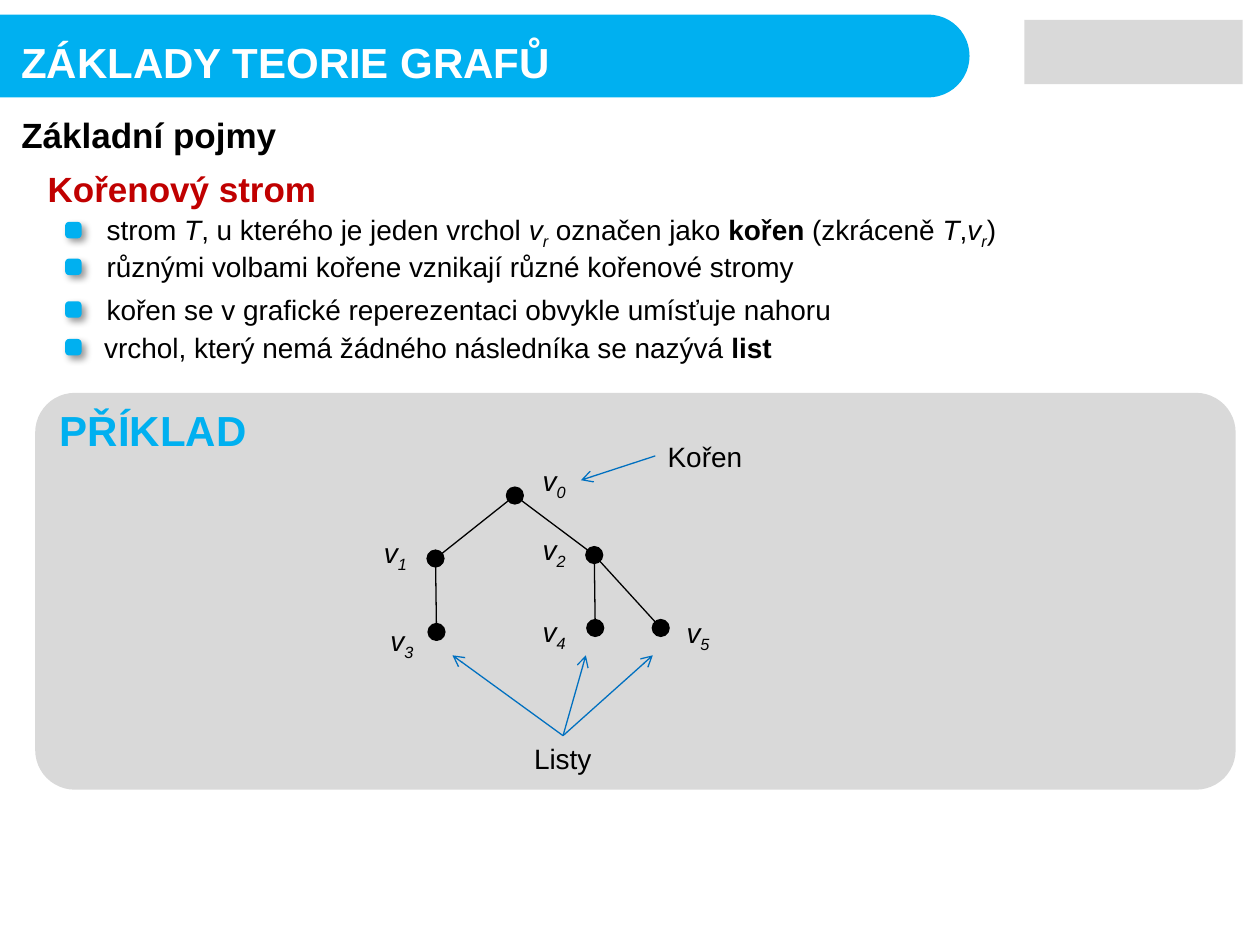
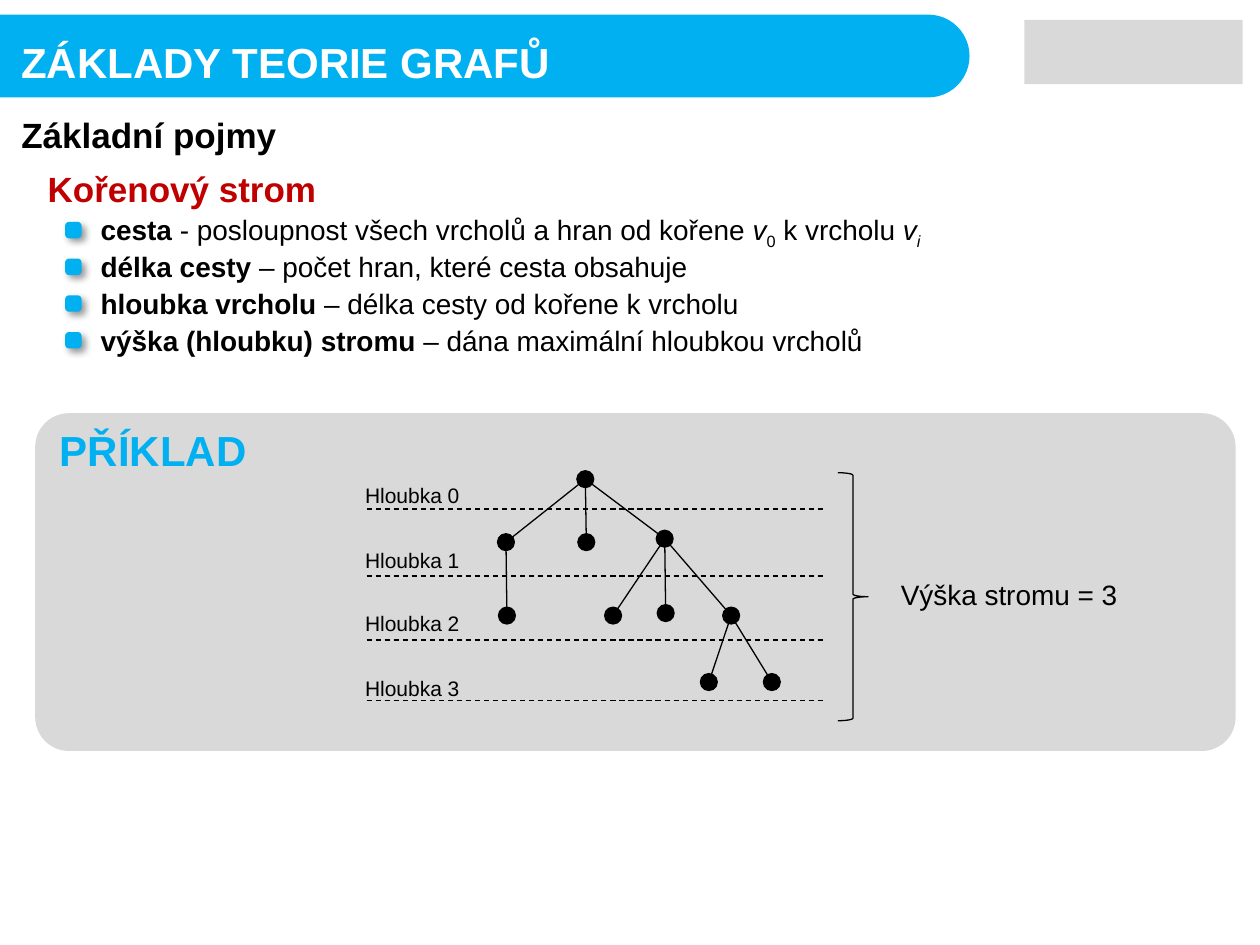
from math import hypot
from lxml import etree
from pptx import Presentation
from pptx import util as u
from pptx.dml import color
from pptx.enum import dml, shapes, text
from pptx.oxml import ns

FONT = "Arial"
BLACK, WHITE, CYAN = "000000", "FFFFFF", "00B0F0"
RED, GRAY, BLUE = "C00000", "D9D9D9", "0070C0"
DOT = 0.34
FORM = shapes.MSO_SHAPE


def paint(part, tint):
    if hasattr(part, "solid"):
        part.solid()
        part.fore_color.rgb = color.RGBColor.from_string(tint)
    else:
        part.rgb = color.RGBColor.from_string(tint)


def shape(slide, kind, box, fill=None, line=None, width=0.75, adj=None):
    item = slide.shapes.add_shape(kind, *map(u.Cm, box))
    item.shadow.inherit = False
    if adj is not None:
        item.adjustments[0] = adj
    if fill:
        paint(item.fill, fill)
    else:
        item.fill.background()
    if line:
        paint(item.line.fill, line)
        item.line.width = u.Pt(width)
    else:
        item.line.fill.background()
    return item


def shade(item):
    old = item._element.spPr.find(ns.qn("a:effectLst"))
    cast = etree.SubElement(old, ns.qn("a:outerShdw"), blurRad=str(u.Pt(4)),
                            dist=str(u.Pt(3)), dir="2700000", algn="tl", rotWithShape="0")
    tone = etree.SubElement(cast, ns.qn("a:srgbClr"), val=BLACK)
    etree.SubElement(tone, ns.qn("a:alpha"), val="40000")


def link(slide, start, end, tint=BLACK, arrow=False, dash=False):
    ends = map(u.Cm, (*start, *end))
    item = slide.shapes.add_connector(shapes.MSO_CONNECTOR.STRAIGHT, *ends)
    paint(item.line.fill, tint)
    item.line.width = u.Pt(0.75)
    if dash:
        item.line.dash_style = dml.MSO_LINE.DASH
    if arrow:
        etree.SubElement(item.line._get_or_add_ln(), ns.qn("a:tailEnd"), type="arrow")
    etree.SubElement(item._element.spPr, ns.qn("a:effectLst"))


def write(slide, box, runs, size=16, tint=BLACK, wrap=True, mid=False, center=False):
    frame = slide.shapes.add_textbox(*map(u.Cm, box)).text_frame
    frame.word_wrap = wrap
    frame.auto_size = text.MSO_AUTO_SIZE.SHAPE_TO_FIT_TEXT
    if mid:
        frame.vertical_anchor = text.MSO_ANCHOR.MIDDLE
    para = frame.paragraphs[0]
    if center:
        para.alignment = text.PP_ALIGN.CENTER
    for words, style in runs:
        run = para.add_run()
        run.text = words
        run.font.name = FONT
        run.font.size = u.Pt(size)
        run.font.bold = "b" in style
        run.font.italic = "i" in style
        paint(run.font.color, tint)
        if "s" in style:
            run.font._element.set("baseline", "-25000")


def header(slide):
    shape(slide, FORM.RECTANGLE, (20.65, 0.4, 4.4, 1.3), GRAY)
    shape(slide, FORM.ROUNDED_RECTANGLE, (-0.89, 0.33, 20.4, 1.6), CYAN, CYAN, 2, 0.5)
    write(slide, (0.18, 0.61, 11.28, 1.27), [("ZÁKLADY TEORIE GRAFŮ", "b")], 24, WHITE, False)
    write(slide, (0.18, 2.16, 14.91, 1.12), [("Základní pojmy", "b")], 20, mid=True)
    write(slide, (0.71, 3.25, 5.97, 1.12), [("Kořenový strom", "b")], 20, RED, False, True)


def points(slide, box, rows):
    left, top, width = box
    for down, indent, runs in rows:
        mark = shape(slide, FORM.ROUNDED_RECTANGLE,
                     (left, top + down + 0.34, 0.26, 0.26), CYAN, CYAN, 2)
        shade(mark)
        write(slide, (left + indent, top + down, width, 0.94), runs)


def panel(slide, box):
    left, top = box[:2]
    shape(slide, FORM.ROUNDED_RECTANGLE, box, GRAY, adj=0.1)
    write(slide, (left + 0.25, top + 0.1, 4.55, 1.27), [("PŘÍKLAD", "b")], 24, CYAN, False)


def tree(slide, box, nodes, edges):
    left, top = box[:2]
    spots = [(left + x, top + y) for x, y in nodes]
    for a, b in edges:
        (ax, ay), (bx, by) = spots[a], spots[b]
        cut = DOT / 2 / hypot(bx - ax, by - ay)
        dx, dy = (bx - ax) * cut, (by - ay) * cut
        link(slide, (ax + dx, ay + dy), (bx - dx, by - dy))
    for x, y in spots:
        shape(slide, FORM.OVAL, (x - DOT / 2, y - DOT / 2, DOT, DOT), BLACK, BLACK)


def rooted(slide, box):
    left, top = box[:2]
    panel(slide, box)
    nodes = [(9.67, 2.07), (8.07, 3.34), (11.27, 3.27),
             (8.09, 4.82), (11.29, 4.74), (12.61, 4.74)]
    tree(slide, box, nodes, [(0, 1), (0, 2), (1, 3), (2, 4), (2, 5)])
    names = [(9.98, 1.3), (6.78, 2.75), (9.98, 2.7),
             (6.91, 4.53), (9.98, 4.35), (12.88, 4.37)]
    for i, (x, y) in enumerate(names):
        write(slide, (left + x, top + y, 1.02, 0.94), [("v", "i"), (str(i), "is")], wrap=False)
    write(slide, (left + 12.5, top + 0.82, 2.16, 0.94), [("Kořen", "")])
    write(slide, (left + 9.48, top + 6.91, 2.31, 0.94), [("Listy", "")], center=True)
    link(slide, (left + 12.5, top + 1.27), (left + 11, top + 1.76), BLUE, True)
    for x in (8.41, 11.1, 12.45):
        link(slide, (left + 10.64, top + 6.91), (left + x, top + 5.29), BLUE, True)


def depths(slide, box):
    left, top = box[:2]
    panel(slide, box)
    nodes = [(11.09, 1.33), (9.49, 2.6), (11.11, 2.6), (12.69, 2.53), (9.51, 4.08),
             (11.65, 4.08), (12.71, 4.03), (14.03, 4.08), (13.58, 5.42), (14.85, 5.42)]
    tree(slide, box, nodes, [(0, 1), (0, 2), (0, 3), (1, 4), (3, 5),
                             (3, 6), (3, 7), (7, 8), (7, 9)])
    levels = [(1.27, 1.93), (2.59, 3.28), (3.86, 4.57), (5.16, 5.79)]
    for i, (y, rule) in enumerate(levels):
        link(slide, (left + 6.68, top + rule), (left + 15.9, top + rule), dash=True)
        write(slide, (left + 6.4, top + y, 2.54, 0.77), [(f"Hloubka {i}", "")], 12)
    shape(slide, FORM.RIGHT_BRACE, (left + 16.18, top + 1.2, 0.61, 5), line=BLACK)
    write(slide, (left + 17.2, top + 3.18, 5.51, 0.94), [("Výška stromu = 3", "")])


ROOT = [
    (0, 0.55, [("strom ", ""), ("T", "i"), (", u kterého je jeden vrchol ", ""),
               ("v", "i"), ("r", "is"), (" označen jako ", ""), ("kořen", "b"),
               (" (zkráceně ", ""), ("T", "i"), (",", ""), ("v", "i"), ("r", "is"), (")", "")]),
    (0.74, 0.55, [("různými volbami kořene vznikají různé kořenové stromy", "")]),
    (1.6, 0.55, [("kořen se v grafické reperezentaci obvykle umísťuje nahoru", "")]),
    (2.36, 0.5, [("vrchol, který nemá žádného následníka se nazývá ", ""), ("list", "b")]),
]
TERMS = [
    [("cesta", "b"), (" - posloupnost všech vrcholů a hran od kořene ", ""), ("v", "i"),
     ("0", "s"), (" k vrcholu ", ""), ("v", "i"), ("i", "is")],
    [("délka cesty ", "b"), ("– počet hran, které cesta obsahuje", "")],
    [("hloubka vrcholu ", "b"), ("– délka cesty od kořene k vrcholu", "")],
    [("výška (hloubku) stromu ", "b"), ("– dána maximální hloubkou vrcholů", "")],
]


def main():
    deck = Presentation()
    deck.slide_width, deck.slide_height = u.Cm(25.4), u.Cm(19.05)
    paths = [(i * 0.74, 0.43, runs) for i, runs in enumerate(TERMS)]
    pages = [(ROOT, rooted, (0.71, 7.92, 24.2, 8)),
             (paths, depths, (0.71, 8.33, 24.2, 6.81))]
    for rows, draw, box in pages:
        slide = deck.slides.add_slide(deck.slide_layouts[6])
        header(slide)
        points(slide, (1.35, 4.17, 21.36), rows)
        draw(slide, box)
    deck.save("out.pptx")


if __name__ == "__main__":
    main()
